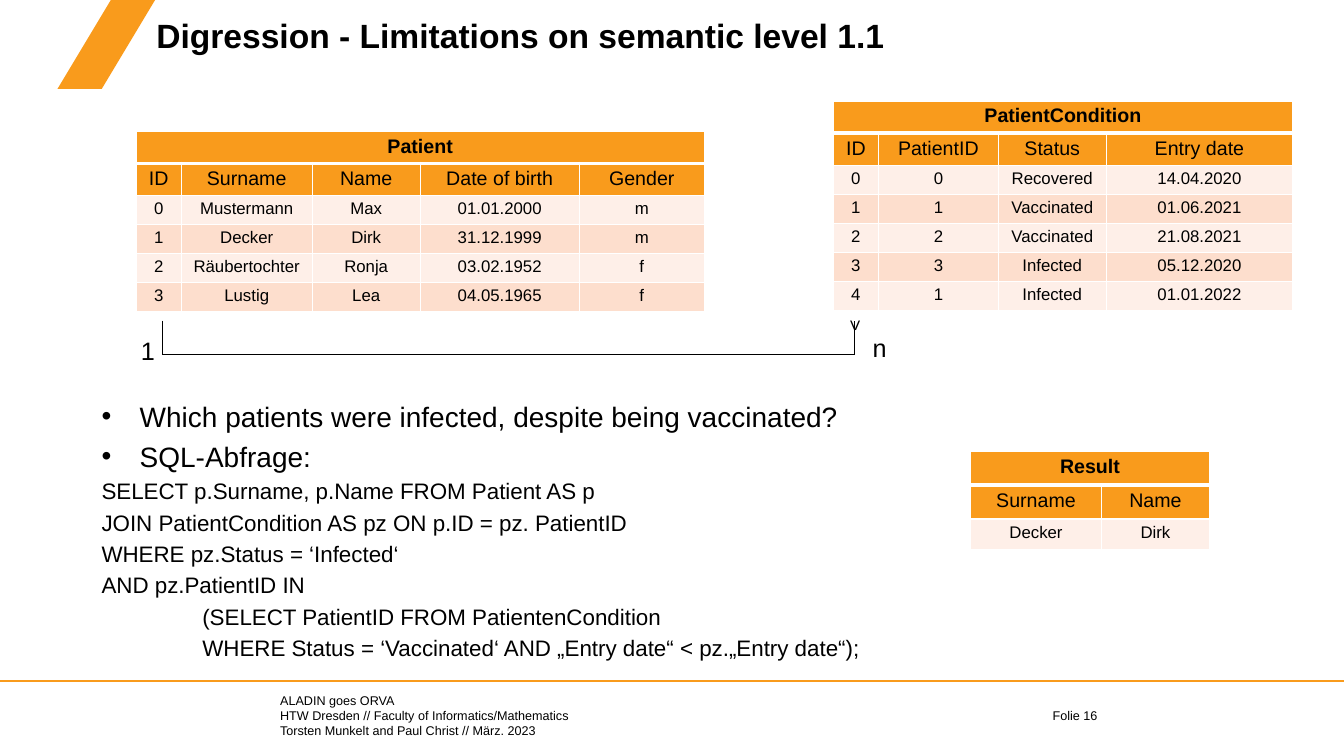
from pptx import Presentation
from pptx.dml.color import RGBColor
from pptx.enum.shapes import MSO_CONNECTOR, MSO_SHAPE
from pptx.enum.text import PP_ALIGN
from pptx.oxml import parse_xml
from pptx.oxml.ns import nsdecls
from pptx.util import Cm, Pt

ORANGE, PALE, PEACH = "F99B1C", "FEEFE8", "FDDECD"
BLACK, WHITE = "000000", "FFFFFF"


def color(value):
    return RGBColor.from_string(value)


class SlideBuilder:
    font_name = "Arial"

    def __init__(self, deck):
        self.page = deck.slides.add_slide(deck.slide_layouts[6])

    def style(self, para, size, bold=False):
        for span in para.runs:
            span.font.name = self.font_name
            span.font.size = Pt(size)
            span.font.bold = bold
            span.font.color.rgb = color(BLACK)

    def text(self, left, top, width, height, content, size, bold=False, wrap=True, inset=True):
        box = self.page.shapes.add_textbox(Cm(left), Cm(top), Cm(width), Cm(height))
        frame = box.text_frame
        frame.word_wrap = wrap
        if not inset:
            frame.margin_left = frame.margin_right = 0
            frame.margin_top = frame.margin_bottom = 0
        frame.text = content
        for para in frame.paragraphs:
            self.style(para, size, bold)
        return box

    def line(self, start, end, value, width):
        points = [Cm(length) for length in (*start, *end)]
        connector = self.page.shapes.add_connector(MSO_CONNECTOR.STRAIGHT, *points)
        connector.line.color.rgb = color(value)
        connector.line.width = Pt(width)
        properties = connector._element.spPr
        properties.append(parse_xml(f"<a:effectLst {nsdecls('a')}/>"))

    def parallelogram(self, left, top, width, height, slant):
        shape = self.page.shapes.add_shape(
            MSO_SHAPE.PARALLELOGRAM, Cm(left), Cm(top), Cm(width), Cm(height))
        shape.adjustments[0] = slant
        shape.shadow.inherit = False
        shape.fill.solid()
        shape.fill.fore_color.rgb = color(ORANGE)
        shape.line.fill.background()

    def borders(self, cell, top, bottom):
        properties = cell._tc.get_or_add_tcPr()
        for side, width in (("L", 1), ("R", 1), ("T", top), ("B", bottom)):
            properties.append(parse_xml(
                f'<a:ln{side} {nsdecls("a")} w="{Pt(width)}"><a:solidFill>'
                f'<a:srgbClr val="{WHITE}"/></a:solidFill></a:ln{side}>'))

    def table(self, left, top, widths, title, rows, head_height=0.81, body_height=0.73):
        grid = [[title] + [""] * (len(widths) - 1)] + rows
        heights = [head_height] * 2 + [body_height] * (len(grid) - 2)
        table = self.page.shapes.add_table(
            len(grid), len(widths), Cm(left), Cm(top), Cm(sum(widths)), Cm(sum(heights))).table
        table.first_row = table.horz_banding = False
        for column, width in zip(table.columns, widths):
            column.width = Cm(width)
        for index, values in enumerate(grid):
            table.rows[index].height = Cm(heights[index])
            is_head = index < 2
            fill = ORANGE if is_head else (PALE, PEACH)[index % 2]
            for cell, value in zip(table.rows[index].cells, values):
                self.borders(cell, 3 if index == 1 else 1, 3 if index == 0 else 1)
                cell.fill.solid()
                cell.fill.fore_color.rgb = color(fill)
                cell.margin_top = cell.margin_bottom = Cm(0.1)
                para = cell.text_frame.paragraphs[0]
                para.text = value
                para.alignment = PP_ALIGN.CENTER
                self.style(para, 14 if is_head else 12, index == 0)
        table.cell(0, 0).merge(table.cell(0, len(widths) - 1))

    def query(self, left, top, width, height, bullets, code):
        box = self.text(left, top, width, height, "\n".join(bullets), 20)
        frame = box.text_frame
        for para in frame.paragraphs:
            properties = para._p.get_or_add_pPr()
            properties.set("marL", str(Cm(0.96)))
            properties.set("indent", str(Cm(-0.96)))
            properties.append(parse_xml(f'<a:buFont {nsdecls("a")} typeface="{self.font_name}"/>'))
            properties.append(parse_xml(f'<a:buChar {nsdecls("a")} char="•"/>'))
        frame.paragraphs[1].space_before = Pt(4.6)
        for indent, content in code:
            para = frame.add_paragraph()
            para.text = content
            para.space_before = Pt(3.2)
            properties = para._p.get_or_add_pPr()
            properties.set("marL", str(Cm(indent)))
            properties.set("indent", "0")
            self.style(para, 16)


def main():
    deck = Presentation()
    deck.slide_width, deck.slide_height = Cm(33.87), Cm(19.05)
    slide = SlideBuilder(deck)

    slide.text(7.06, 17.45, 17.04, 1.14,
               "ALADIN goes ORVA\nHTW Dresden // Faculty of Informatics/Mathematics\n"
               "Torsten Munkelt and Paul Christ // März. 2023", 9, inset=False)
    slide.text(26.28, 17.72, 2.03, 0.64, "Folie 16", 9)
    slide.parallelogram(1.45, 0, 2.46, 2.24, 0.6)
    slide.line((0, 17.16), (33.87, 17.16), ORANGE, 1.25)
    title = slide.text(3.94, 0.48, 28.37, 1.73,
                       "Digression - Limitations on semantic level 1.1", 24, bold=True, inset=False)
    title.text_frame.paragraphs[0].line_spacing = 0.9

    slide.table(21, 2.55, [1.14, 3.02, 2.72, 4.7], "PatientCondition", [
        ["ID", "PatientID", "Status", "Entry date"],
        ["0", "0", "Recovered", "14.04.2020"],
        ["1", "1", "Vaccinated", "01.06.2021"],
        ["2", "2", "Vaccinated", "21.08.2021"],
        ["3", "3", "Infected", "05.12.2020"],
        ["4", "1", "Infected", "01.01.2022"],
    ])
    slide.table(3.43, 3.31, [1.14, 3.3, 2.72, 4.01, 3.15], "Patient", [
        ["ID", "Surname", "Name", "Date of birth", "Gender"],
        ["0", "Mustermann", "Max", "01.01.2000", "m"],
        ["1", "Decker", "Dirk", "31.12.1999", "m"],
        ["2", "Räubertochter", "Ronja", "03.02.1952", "f"],
        ["3", "Lustig", "Lea", "04.05.1965", "f"],
    ])

    slide.query(2.31, 9.94, 24.89, 6.81, [
        "Which patients were infected, despite being vaccinated?",
        "SQL-Abfrage:",
    ], [
        (0, "SELECT p.Surname, p.Name FROM Patient AS p"),
        (0, "JOIN PatientCondition AS pz ON p.ID = pz. PatientID"),
        (0, "WHERE pz.Status = ‘Infected‘"),
        (0, "AND pz.PatientID IN"),
        (2.54, "(SELECT PatientID FROM PatientenCondition"),
        (2.54, "WHERE Status = ‘Vaccinated‘ AND „Entry date“ < pz.„Entry date“);"),
    ])

    patient, condition, upper, lower = 4.09, 21.54, 8.08, 8.93
    corners = [(patient, upper), (patient, lower), (condition, lower), (condition, upper)]
    for start, end in zip(corners, corners[1:]):
        slide.line(start, end, BLACK, 0.75)
    slide.text(3.3, 8.33, 0.79, 1.02, "1", 18, wrap=False)
    slide.text(21.74, 8.26, 0.79, 1.02, "n", 18, wrap=False)
    arrow = slide.text(21.13, 7.77, 0.79, 0.86, "<", 14, wrap=False)
    arrow.rotation = 270

    slide.table(24.46, 11.38, [3.3, 2.72], "Result", [
        ["Surname", "Name"],
        ["Decker", "Dirk"],
    ], 0.85, 0.77)
    deck.save("out.pptx")


if __name__ == "__main__":
    main()
